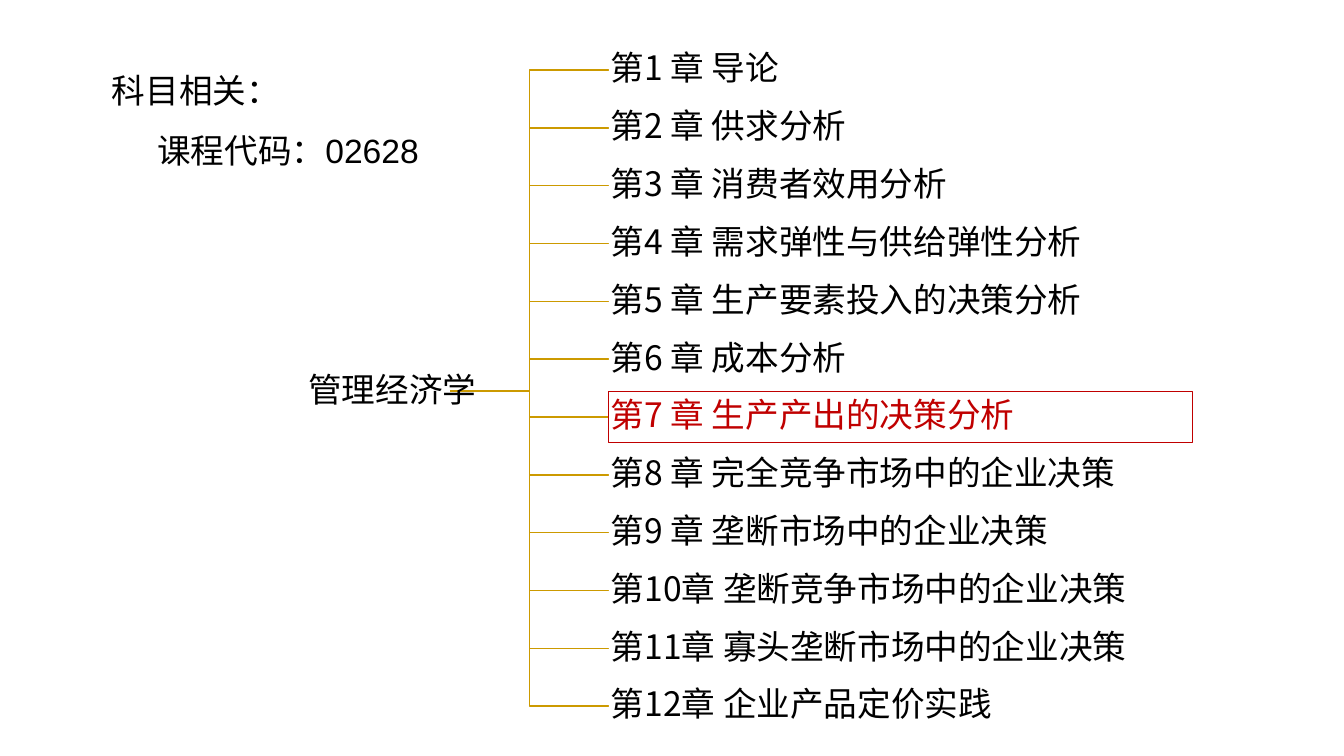
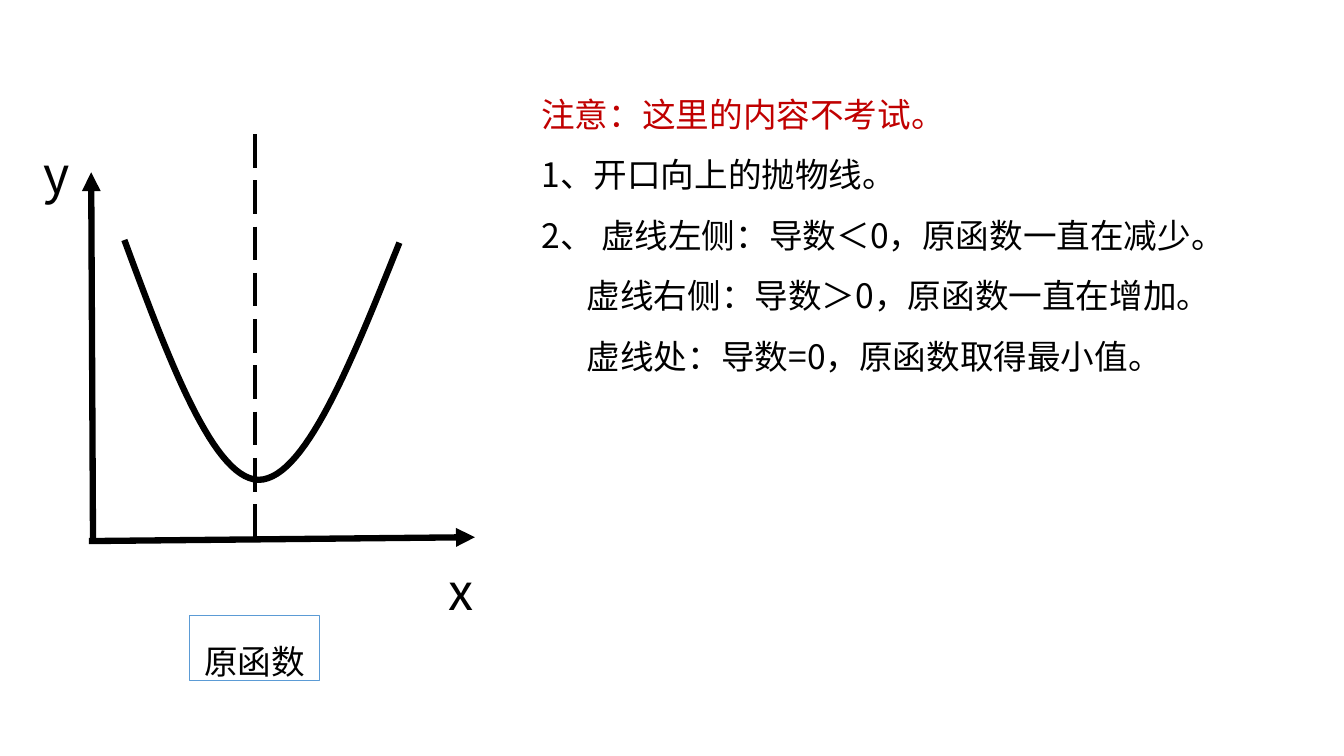
from dataclasses import dataclass

import pptx
import pptx.dml.color
import pptx.enum.dml
import pptx.enum.lang
import pptx.enum.shapes
import pptx.enum.text
import pptx.oxml
import pptx.oxml.ns
import pptx.util
from lxml import etree

Inches, Pt = pptx.util.Inches, pptx.util.Pt
qn = pptx.oxml.ns.qn
RGB = pptx.dml.color.RGBColor.from_string
Align = pptx.enum.text.PP_ALIGN
Anchor = pptx.enum.text.MSO_ANCHOR
Preset = pptx.enum.shapes.MSO_SHAPE


@dataclass(frozen=True)
class Theme:
    ink: str = "000000"
    accent: str = "C00000"
    branch: str = "CC9A00"
    frame: str = "5B9BD5"
    paper: str = "FFFFFF"
    font: str = "Noto Sans CJK SC"
    latin: str = "Arial"
    text: int = 24
    axis_name: int = 36
    hairline: float = 0.75
    thin: float = 1
    dashed: float = 3
    thick: float = 4.5
    tight: float = 0.9
    loose: float = 1.5
    hanging: float = 0.45


THEME = Theme()


@dataclass(frozen=True)
class Box:
    """A rectangle in inches; areas inside it are given in percent of it."""
    left: float
    top: float
    width: float
    height: float

    def area(self, left, top, width, height):
        return Box(*self.point(left, top),
                   self.width * width / 100, self.height * height / 100)

    def point(self, x, y):
        return self.left + self.width * x / 100, self.top + self.height * y / 100

    def lengths(self):
        return [Inches(v) for v in (self.left, self.top, self.width, self.height)]


SLIDE = Box(0, 0, 13.33, 7.5)

CHAPTERS = [
    "第1 章 导论",
    "第2 章 供求分析",
    "第3 章 消费者效用分析",
    "第4 章 需求弹性与供给弹性分析",
    "第5 章 生产要素投入的决策分析",
    "第6 章 成本分析",
    "第7 章 生产产出的决策分析",
    "第8 章 完全竞争市场中的企业决策",
    "第9 章 垄断市场中的企业决策",
    "第10章 垄断竞争市场中的企业决策",
    "第11章 寡头垄断市场中的企业决策",
    "第12章 企业产品定价实践",
]
CURRENT_CHAPTER = 6
# Each line of a list: wording, colour, whether it is indented
SUBJECT = [
    ("科目相关：", THEME.ink, False),
    ("课程代码：02628", THEME.ink, True),
]
NOTES = [
    ("注意：这里的内容不考试。", THEME.accent, False),
    ("1、开口向上的抛物线。", THEME.ink, False),
    ("2、 虚线左侧：导数＜0，原函数一直在减少。", THEME.ink, False),
    ("虚线右侧：导数＞0，原函数一直在增加。", THEME.ink, True),
    ("虚线处：导数=0，原函数取得最小值。", THEME.ink, True),
]


def apply(target, values):
    for name, value in values.items():
        setattr(target, name, value)


def write(para, wording, colour=THEME.ink, size=THEME.text, font=THEME.font,
          spacing=1.0, align=Align.LEFT):
    apply(para, {"alignment": align, "line_spacing": spacing,
                 "space_before": Pt(0), "space_after": Pt(0)})
    span = para.add_run()
    span.text = wording
    apply(span.font, {"size": Pt(size), "name": font,
                      "language_id": pptx.enum.lang.MSO_LANGUAGE_ID.SIMPLIFIED_CHINESE})
    span.font.color.rgb = RGB(colour)
    east_asian = etree.SubElement(span.font._element, qn("a:ea"))
    east_asian.set("typeface", THEME.font)


def set_frame(shape, anchor=Anchor.TOP, inset=None):
    frame = shape.text_frame
    apply(frame, {"word_wrap": True, "vertical_anchor": anchor,
                  "auto_size": pptx.enum.text.MSO_AUTO_SIZE.NONE})
    if inset is not None:
        apply(frame, {f"margin_{side}": Inches(inset)
                      for side in ("left", "top", "right", "bottom")})
    return frame.paragraphs[0]


def add_label(page, box, wording, anchor=Anchor.TOP, inset=None, **style):
    label = page.shapes.add_textbox(*box.lengths())
    write(set_frame(label, anchor, inset), wording, **style)


def add_panel(page, box, wording, fill=None, outline=None,
              anchor=Anchor.TOP, inset=None, **style):
    panel = page.shapes.add_shape(Preset.RECTANGLE, *box.lengths())
    panel.shadow.inherit = False
    if fill:
        panel.fill.solid()
        panel.fill.fore_color.rgb = RGB(fill)
    else:
        panel.fill.background()
    if outline:
        set_line(panel, outline, THEME.hairline)
    else:
        panel.line.fill.background()
    write(set_frame(panel, anchor, inset), wording, **style)


def set_line(shape, colour, width):
    shape.line.color.rgb = RGB(colour)
    shape.line.width = Pt(width)


def add_outline(page, points, colour, width):
    """Draw an open, unfilled outline through points in inches."""
    start, *others = [(Inches(x), Inches(y)) for x, y in points]
    builder = page.shapes.build_freeform(*start)
    builder.add_line_segments(others, close=False)
    outline = builder.convert_to_shape()
    outline.shadow.inherit = False
    outline.fill.background()
    set_line(outline, colour, width)


def add_line(page, start, end, width, dash=None, arrow=False):
    ends = [Inches(v) for v in (*start, *end)]
    line = page.shapes.add_connector(pptx.enum.shapes.MSO_CONNECTOR.STRAIGHT, *ends)
    set_line(line, THEME.ink, width)
    if dash:
        line.line.dash_style = dash
    properties = line._element.spPr
    if arrow:
        head = etree.SubElement(properties.find(qn("a:ln")), qn("a:tailEnd"))
        head.set("type", "triangle")
    etree.SubElement(properties, qn("a:effectLst"))


def add_page(deck):
    """Add a slide that keeps only its body placeholder."""
    page = deck.slides.add_slide(deck.slide_layouts[1])
    title = page.shapes.title._element
    title.getparent().remove(title)
    return page


def fill_body(page, box, lines, font=THEME.font):
    body = page.placeholders[1]
    apply(body, dict(zip(("left", "top", "width", "height"), box.lengths())))
    para = set_frame(body)
    for number, (wording, colour, indented) in enumerate(lines):
        if number:
            para = body.text_frame.add_paragraph()
        properties = para._p.get_or_add_pPr()
        properties.set("marL", str(Inches(THEME.hanging if indented else 0)))
        properties.set("indent", "0")
        etree.SubElement(properties, qn("a:buNone"))
        write(para, wording, colour, font=font, spacing=THEME.loose)


def draw_chapter_tree(page, box):
    row_height = 7.48
    pitch = (100 - row_height) / (len(CHAPTERS) - 1)
    root_x, root_y, spine_x, chapter_x = 19.1, 50.44, 27.7, 36.37
    style = {"anchor": Anchor.MIDDLE, "inset": 0.02, "spacing": THEME.tight}

    for number in range(len(CHAPTERS)):
        middle = number * pitch + row_height / 2
        corners = [(root_x, root_y), (spine_x, root_y),
                   (spine_x, middle), (chapter_x, middle)]
        add_outline(page, [box.point(*corner) for corner in corners],
                    THEME.branch, THEME.thin)

    add_label(page, box.area(0, 41.94, 25.5, 17), "管理经济学",
              align=Align.CENTER, **style)
    for number, chapter in enumerate(CHAPTERS):
        current = number == CURRENT_CHAPTER
        row = box.area(chapter_x, number * pitch, 100 - chapter_x, row_height)
        add_panel(page, row, chapter, fill=THEME.paper,
                  outline=THEME.accent if current else None,
                  colour=THEME.accent if current else THEME.ink, **style)


def bezier(controls, steps=30):
    """Return points along a cubic curve, without its first point."""
    points = []
    for step in range(1, steps + 1):
        t = step / steps
        weights = ((1 - t) ** 3, 3 * t * (1 - t) ** 2, 3 * t ** 2 * (1 - t), t ** 3)
        points.append(tuple(sum(w * c for w, c in zip(weights, axis))
                            for axis in zip(*controls)))
    return points


def draw_parabola_graph(page, box):
    add_panel(page, box.area(33.9, 88.2, 28.2, 11.8), "原函数",
              outline=THEME.frame, spacing=THEME.loose, align=Align.CENTER)
    for start, end in (((12, 74.5), (95.8, 73.8)), ((12.9, 74.5), (12.5, 7))):
        add_line(page, box.point(*start), box.point(*end), THEME.thick, arrow=True)

    left, bottom, right = (19.7, 19.4), (48.8, 63.3), (79.4, 19.9)
    falling = bezier([left, (29.3, 41.3), (39, 63.1), bottom])
    rising = bezier([bottom, (58.9, 63.3), (69.1, 41.5), right])
    add_outline(page, [box.point(*p) for p in (left, *falling, *rising)],
                THEME.ink, THEME.thick)
    add_line(page, box.point(48.1, 0), box.point(48.1, 73.8), THEME.dashed,
             dash=pptx.enum.dml.MSO_LINE.LONG_DASH)

    for name, x, y in (("x", 88, 77.1), ("y", 0, 0.7)):
        add_label(page, box.area(x, y, 12, 13.1), name, size=THEME.axis_name)


def main():
    deck = pptx.Presentation()
    deck.slide_width, deck.slide_height = SLIDE.lengths()[2:]

    overview = add_page(deck)
    draw_chapter_tree(overview, SLIDE.area(20.48, 5.87, 68.27, 90.93))
    fill_body(overview, SLIDE.area(7.58, 5.87, 61.4, 16.5), SUBJECT, THEME.latin)

    function_page = add_page(deck)
    fill_body(function_page, SLIDE.area(39.53, 9.07, 59.4, 41.7), NOTES)
    draw_parabola_graph(function_page, SLIDE.area(2.5, 17.73, 34.28, 72.27))

    deck.save("out.pptx")


if __name__ == "__main__":
    main()
